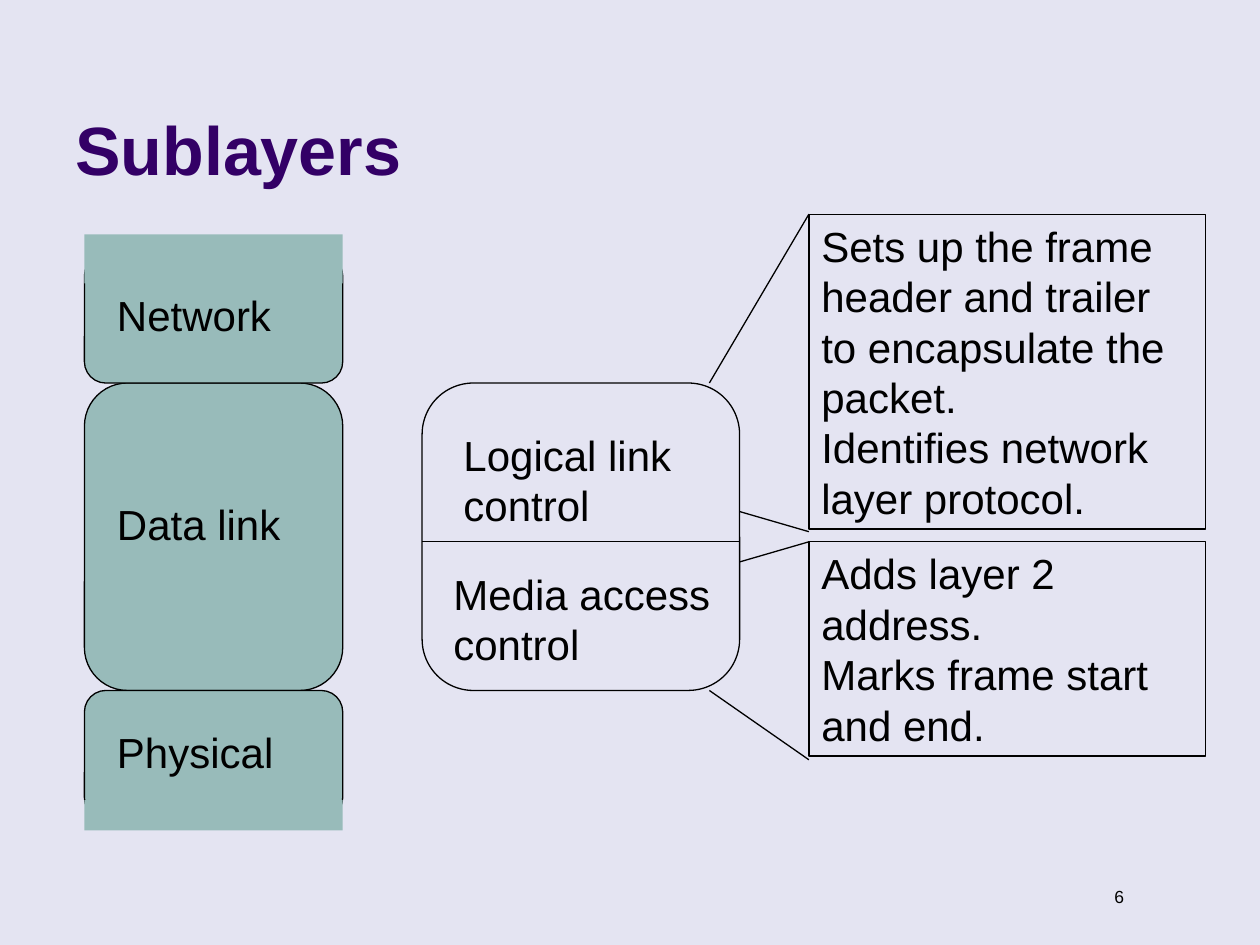
from pptx import Presentation
from pptx.dml.color import RGBColor
from pptx.enum.shapes import MSO_CONNECTOR, MSO_SHAPE
from pptx.enum.text import MSO_ANCHOR, PP_ALIGN
from pptx.oxml.ns import qn
from pptx.util import Inches, Pt

BLACK = "000000"
TEAL = "98BBBA"


def color(value):
    return RGBColor.from_string(value)


def set_text(sp, text, size=24, fill=BLACK, bold=False, align=PP_ALIGN.LEFT, anchor=MSO_ANCHOR.TOP):
    tf = sp.text_frame
    tf.word_wrap = True
    tf.vertical_anchor = anchor
    tf.text = text
    p = tf.paragraphs[0]
    p.alignment = align
    for r in p.runs:
        r.font.name = "Arial"
        r.font.size = Pt(size)
        r.font.bold = bold
        r.font.color.rgb = color(fill)


def add_text(s, x, y, w, h, text, **style):
    set_text(s.shapes.add_textbox(Inches(x), Inches(y), Inches(w), Inches(h)), text, **style)


def add_box(s, kind, x, y, w, h, fill=None, outlined=True):
    sp = s.shapes.add_shape(kind, Inches(x), Inches(y), Inches(w), Inches(h))
    sp.shadow.inherit = False
    if fill:
        sp.fill.solid()
        sp.fill.fore_color.rgb = color(fill)
    else:
        sp.fill.background()
    if outlined:
        sp.line.color.rgb = color(BLACK)
        sp.line.width = Pt(0.75)
    else:
        sp.line.fill.background()
    return sp


def add_line(s, x1, y1, x2, y2):
    c = s.shapes.add_connector(MSO_CONNECTOR.STRAIGHT, Inches(x1), Inches(y1), Inches(x2), Inches(y2))
    c.line.color.rgb = color(BLACK)
    c.line.width = Pt(0.75)
    pr = c._element.spPr
    pr.append(pr.makeelement(qn("a:effectLst"), {}))


def add_layers(s, x, y, w, h):
    end_h = 1.02
    bottom = y + h
    label_x, label_w, label_h = x + 0.16, 1.65, 0.5
    add_box(s, MSO_SHAPE.ROUNDED_RECTANGLE, x, y, w, h, TEAL)
    add_text(s, label_x, y + 0.87, label_w, label_h, "Data link")
    ends = [
        ("Physical", bottom, bottom + 0.87, 0.24, bottom + 0.24),
        ("Network", y - end_h, y - 1.18, 0.39, y - 0.79),
    ]
    for label, top, cover_y, cover_h, label_y in ends:
        add_box(s, MSO_SHAPE.ROUNDED_RECTANGLE, x, top, w, end_h, TEAL)
        add_box(s, MSO_SHAPE.RECTANGLE, x, cover_y, w, cover_h, TEAL, outlined=False)
        add_text(s, label_x, label_y, label_w, label_h, label)


def add_sublayers(s, x, y, w, h):
    split = y + 1.26
    add_text(s, x + 0.23, y + 0.32, 2.91, 0.9, "Logical link control")
    add_text(s, x + 0.15, split + 0.16, 2.36, 0.9, "Media access control")
    add_box(s, MSO_SHAPE.ROUNDED_RECTANGLE, x, y, w, h)
    add_line(s, x, split, x + w, split)


def add_callout(s, x, y, w, h, text, rays):
    sp = add_box(s, MSO_SHAPE.RECTANGLE, x, y, w, h)
    set_text(sp, text)
    for from_x, from_y, to_y in rays:
        add_line(s, from_x, from_y, x, to_y)


def main():
    prs = Presentation()
    prs.slide_width, prs.slide_height = Inches(10), Inches(7.5)
    s = prs.slides.add_slide(prs.slide_layouts[6])
    s.background.fill.solid()
    s.background.fill.fore_color.rgb = color("E4E4F2")

    add_text(s, 8.39, 6.98, 0.63, 0.27, "6", size=10, align=PP_ALIGN.RIGHT)
    add_text(s, 0.5, 0.13, 8.25, 1.42, "Sublayers", size=39, fill="330066",
             bold=True, anchor=MSO_ANCHOR.BOTTOM)
    add_layers(s, 0.67, 3.04, 2.05, 2.44)
    add_sublayers(s, 3.35, 3.04, 2.52, 2.44)
    add_callout(s, 6.42, 4.3, 3.15, 1.7,
                "Adds layer 2 address.\vMarks frame start and end.",
                [(5.63, 5.48, 6.03), (5.87, 4.46, 4.3)])
    add_callout(s, 6.42, 1.7, 3.15, 2.5,
                "Sets up the frame header and trailer to encapsulate the packet.\v"
                "Identifies network layer protocol.",
                [(5.63, 3.04, 1.7), (5.87, 4.06, 4.22)])
    prs.save("out.pptx")


if __name__ == "__main__":
    main()
